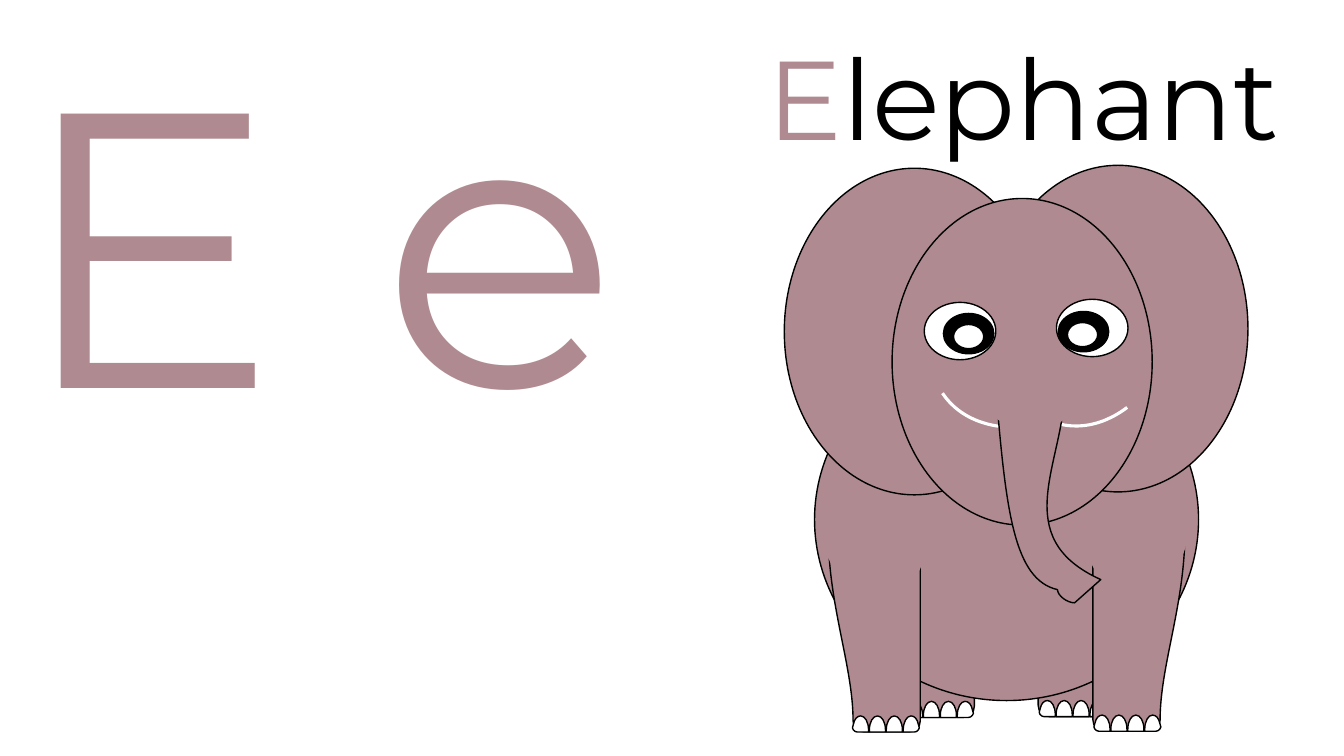
from lxml import etree
from pptx import Presentation
from pptx.dml.color import RGBColor
from pptx.enum.shapes import MSO_SHAPE
from pptx.enum.text import MSO_ANCHOR, MSO_AUTO_SIZE, PP_ALIGN
from pptx.oxml.ns import qn
from pptx.util import Pt

OVAL, ARC = MSO_SHAPE.OVAL, MSO_SHAPE.ARC
TOP, LEFT, FIXED = MSO_ANCHOR.TOP, PP_ALIGN.LEFT, MSO_AUTO_SIZE.NONE
FONT = "Montserrat"
ROSE, BLACK, WHITE = "AF8B91", "000000", "FFFFFF"

LEG_SIZE = (66, 196.5)
LEG = [(66, 33), (66, 29, 62.5, 25, 58, 25), (26, 25),
       (21.5, 25, 7, -4, 7, 0.5), (-13, 78, 18, 137, 18, 188.5),
       (18, 193, 21.5, 196.5, 26, 196.5), (58, 196.5),
       (62.5, 196.5, 66, 193, 66, 188.5), (66, 33)]
TOE_SIZE = (11.5, 11.5)
END_TOE = [(6, 0), (3.5, 0, 1.5, 2, 0.7, 6), (0, 8.5), (0.7, 10),
           (1.5, 11, 2.5, 11.5, 3.5, 11.5), (11.5, 11.5), (11.5, 10),
           (11.5, 4.5, 9, 0, 6, 0)]
MID_TOE = [(5.75, 0), (2.5, 0, 0, 4.5, 0, 10), (0, 11.5), (11.5, 11.5),
           (11.5, 10), (11.5, 4.5, 9, 0, 5.75, 0)]
TRUNK_SIZE = (74.9, 160.6)
TRUNK = [(49, 8.6), (49, 3.6, 45, 0, 41, 0), (8.6, 0), (3.6, 0, 0, 3.6, 0, 8.6),
         (7.2, 95.8, 13, 144, 44, 151.2), (44, 155.5, 51, 160.6, 56.2, 160.6),
         (74.9, 144), (7.9, 113.8, 49, 59.8, 49, 8.6)]

deck = Presentation()
deck.slide_width, deck.slide_height = Pt(960), Pt(540)
slide = deck.slides.add_slide(deck.slide_layouts[5])
shapes = slide.shapes


def paint(shape, fill, line, width=1):
    shape.shadow.inherit = False
    if fill:
        shape.fill.solid()
        shape.fill.fore_color.rgb = RGBColor.from_string(fill)
    else:
        shape.fill.background()
    if line:
        shape.line.color.rgb = RGBColor.from_string(line)
        shape.line.width = Pt(width)
    else:
        shape.line.fill.background()


def blob(left, top, size, outline, fill, flip=False):
    wide, high = size
    pen = shapes.build_freeform(Pt(left), Pt(top))
    pen.add_line_segments([(Pt(left + wide), Pt(top)),
                           (Pt(left + wide), Pt(top + high)),
                           (Pt(left), Pt(top + high))], close=True)
    shape = pen.convert_to_shape()
    trace = shape.element.xpath(".//a:path")[0]
    for node in list(trace):
        trace.remove(node)
    for i, part in enumerate(outline):
        tag = "a:moveTo" if i == 0 else "a:lnTo" if len(part) == 2 else "a:cubicBezTo"
        move = etree.SubElement(trace, qn(tag))
        for x, y in zip(part[::2], part[1::2]):
            spot = etree.SubElement(move, qn("a:pt"))
            spot.set("x", str(Pt(wide - x if flip else x)))
            spot.set("y", str(Pt(y)))
    etree.SubElement(trace, qn("a:close"))
    paint(shape, fill, BLACK)


title = shapes.title
letters = shapes.add_textbox(Pt(5), Pt(-5.8), Pt(571), Pt(358.6))
title.left, title.top, title.width, title.height = Pt(540.7), Pt(16.6), Pt(410.4), Pt(104.4)
for box, size, runs in [(letters, 280, [("E e", ROSE)]),
                        (title, 80, [("E", ROSE), ("lephant", BLACK)])]:
    frame = box.text_frame
    frame.word_wrap = True
    frame.auto_size = FIXED
    frame.vertical_anchor = TOP
    para = frame.paragraphs[0]
    para.alignment = LEFT
    para.font.size = Pt(size)
    para.font.name = FONT
    for text, color in runs:
        run = para.add_run()
        run.text = text
        run.font.color.rgb = RGBColor.from_string(color)

for left, top, right, hip in [
    (630, 316, False, None),
    (741.6, 315.4, True, None),
    (591.4, 326.4, False, (585.4, 317.5, 351.3)),
    (780.7, 325.8, True, (773.3, 314.6, 3.6)),
]:
    if hip and not right:
        body = shapes.add_shape(OVAL, Pt(581.8), Pt(241.9), Pt(274.3), Pt(258.5))
        paint(body, ROSE, BLACK)
    blob(left, top, LEG_SIZE, LEG, ROSE, right)
    if hip:
        patch = shapes.add_shape(OVAL, Pt(hip[0]), Pt(hip[1]), Pt(77), Pt(110.9))
        patch.rotation = hip[2]
        paint(patch, ROSE, None)
    for i in (0, 3, 2, 1):
        gap = 17.5 + 12.1 * i
        toe = left + (LEG_SIZE[0] - gap - TOE_SIZE[0] if right else gap)
        kind = END_TOE if i in (0, 3) else MID_TOE
        blob(toe, top + 185, TOE_SIZE, kind, WHITE, right != (i == 3))

for size, fill, places in [
    ((185.8, 233.3), ROSE, [(705.6, 118.1), (560.2, 120.2), (637.2, 141.8)]),
    ((51.1, 41), WHITE, [(660.2, 216), (754.6, 213.8)]),
    ((36, 28.8), BLACK, [(673.9, 223.9), (756, 222.5)]),
    ((21.6, 17.3), WHITE, [(681.1, 231.8), (762.5, 230.4)]),
]:
    for place in places:
        paint(shapes.add_shape(OVAL, *map(Pt, place + size)), fill, BLACK)

for left, top, turn in [(679, 150.5, 236.4), (712.8, 137.5, 194.1)]:
    smile = shapes.add_shape(ARC, Pt(left), Pt(top), Pt(128.2), Pt(167.8))
    smile.adjustments[0], smile.adjustments[1] = 140.28, 162
    smile.rotation = turn
    paint(smile, None, WHITE, 2.25)

blob(711.4, 270, TRUNK_SIZE, TRUNK, ROSE)
paint(shapes.add_shape(OVAL, Pt(702.7), Pt(258.5), Pt(67.7), Pt(47.5)), ROSE, ROSE)

deck.save("out.pptx")
